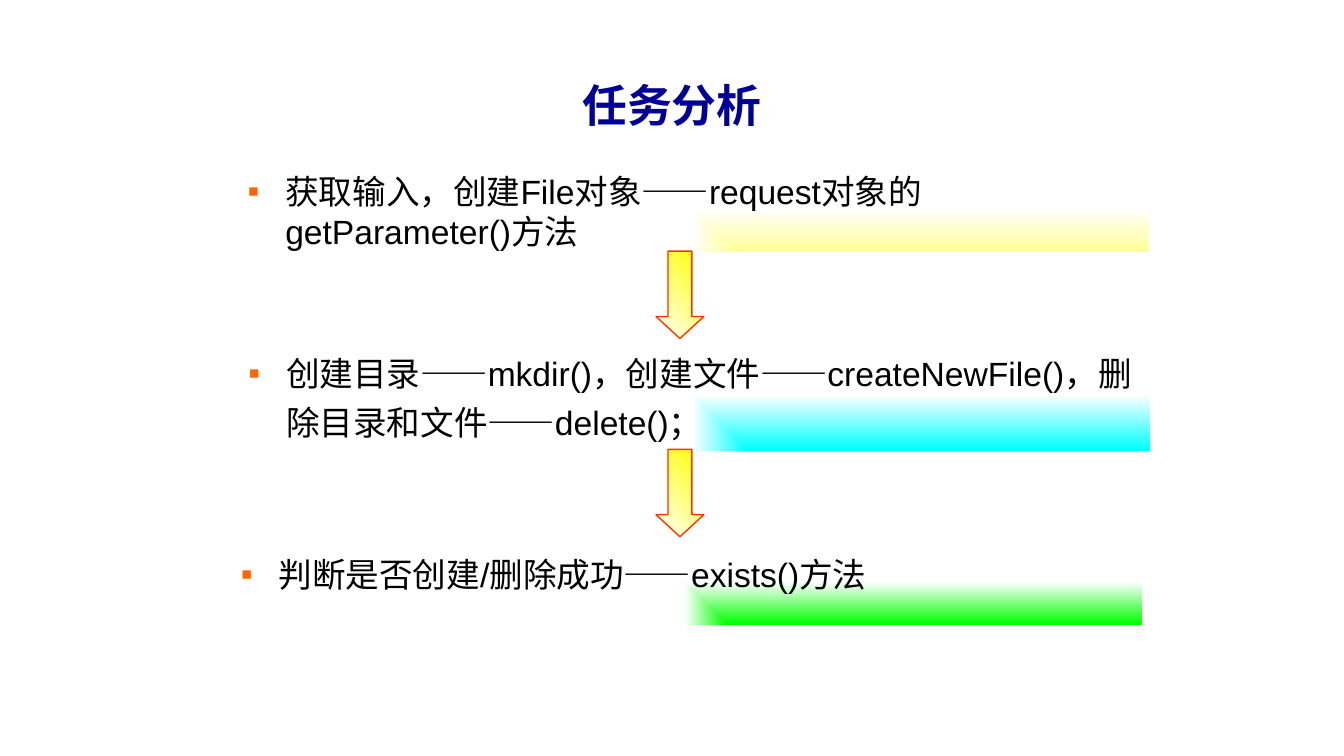
import pptx
import pptx.dml.color
import pptx.enum.shapes
import pptx.enum.text
import pptx.oxml
import pptx.oxml.ns
import pptx.util
from lxml import etree

PX = 5715  # EMU per px, 160 px to the inch
FONT = "Arial"
SHAPE = pptx.enum.shapes.MSO_SHAPE
ALIGN = pptx.enum.text.PP_ALIGN
ANCHOR = pptx.enum.text.MSO_ANCHOR
qn = pptx.oxml.ns.qn


def px(*lengths):
    return [pptx.util.Emu(length * PX) for length in lengths]


def rgb(hex_code):
    return pptx.dml.color.RGBColor.from_string(hex_code)


def write(shape, text, size=18, color="000000", bold=False,
          align=ALIGN.LEFT, anchor=ANCHOR.TOP):
    """Put one formatted paragraph in the shape and return it."""
    frame = shape.text_frame
    frame.word_wrap = True
    frame.vertical_anchor = anchor
    paragraph = frame.paragraphs[0]
    paragraph.alignment = align
    run = paragraph.add_run()
    run.text = text
    run.font.name = FONT
    run.font.size = pptx.util.Pt(size)
    run.font.bold = bold
    run.font.color.rgb = rgb(color)
    return paragraph


def add_bullet(paragraph, color, indent=45):
    properties = paragraph._p.get_or_add_pPr()
    margin, = px(indent)
    properties.set("marL", str(margin))
    properties.set("indent", str(-margin))
    bullet_color = etree.SubElement(properties, qn("a:buClr"))
    etree.SubElement(bullet_color, qn("a:srgbClr"), val=color)
    etree.SubElement(properties, qn("a:buFont"), typeface=FONT)
    etree.SubElement(properties, qn("a:buChar"), char="▪")


def fill_gradient(shape, start, end):
    shape.fill.gradient()
    for stop, color in zip(shape.fill.gradient_stops, (start, end)):
        stop.color.rgb = rgb(color)


def radiate_from_corner(shape):
    """Turn the linear gradient into a rectangular one from the lower right."""
    linear = shape._element.spPr.find(".//" + qn("a:lin"))
    rectangular = pptx.oxml.parse_xml(
        f'<a:path {pptx.oxml.ns.nsdecls("a")} path="rect">'
        '<a:fillToRect l="100000" t="100000"/></a:path>')
    linear.getparent().replace(linear, rectangular)


class TaskSlide:
    title_color = "000099"
    bullet_color = "FF6600"
    arrow_color = "FFFF00"
    arrow_outline = "FF3300"

    def __init__(self, presentation):
        self.slide = presentation.slides.add_slide(presentation.slide_layouts[6])

    def shape(self, preset, left, top, width, height):
        shape = self.slide.shapes.add_shape(preset, *px(left, top, width, height))
        shape.shadow.inherit = False
        return shape

    def title(self, text, left, top, width, height):
        box = self.slide.shapes.add_textbox(*px(left, top, width, height))
        write(box, text, size=24, color=self.title_color, bold=True,
              align=ALIGN.CENTER, anchor=ANCHOR.MIDDLE)

    def step(self, text, color, left, top, height, line_spacing):
        band = self.shape(SHAPE.RECTANGLE, left, top, 1088, height)
        fill_gradient(band, color, "FFFFFF")
        radiate_from_corner(band)
        band.line.fill.background()
        paragraph = write(band, text)
        paragraph.line_spacing = line_spacing
        paragraph.space_before = pptx.util.Pt(3.6)
        add_bullet(paragraph, self.bullet_color)

    def arrow(self, top):
        arrow = self.shape(SHAPE.DOWN_ARROW, 781, top, 57, 104)
        arrow.adjustments[0] = 0.5
        arrow.adjustments[1] = 0.46
        fill_gradient(arrow, "FFFFFF", self.arrow_color)
        arrow.fill.gradient_angle = 45
        arrow.line.color.rgb = rgb(self.arrow_outline)
        arrow.line.width = pptx.util.Pt(0.75)


def main():
    presentation = pptx.Presentation()
    presentation.slide_width, presentation.slide_height = px(1600, 900)
    task = TaskSlide(presentation)
    task.title("任务分析", 53, 50, 1494, 150)
    steps = [
        ("获取输入，创建File对象——request对象的getParameter()方法",
         "FFFF99", 279, 195, 104, 1.0),
        ("创建目录——mkdir()，创建文件——createNewFile()，删除目录和文件——delete()；",
         "00FFFF", 280, 403, 133, 1.2),
        ("判断是否创建/删除成功——exists()方法",
         "00FF00", 271, 642, 101, 1.2),
    ]
    for step in steps:
        task.step(*step)
    for arrow_top in (299, 535):
        task.arrow(arrow_top)
    presentation.save("out.pptx")


if __name__ == "__main__":
    main()
